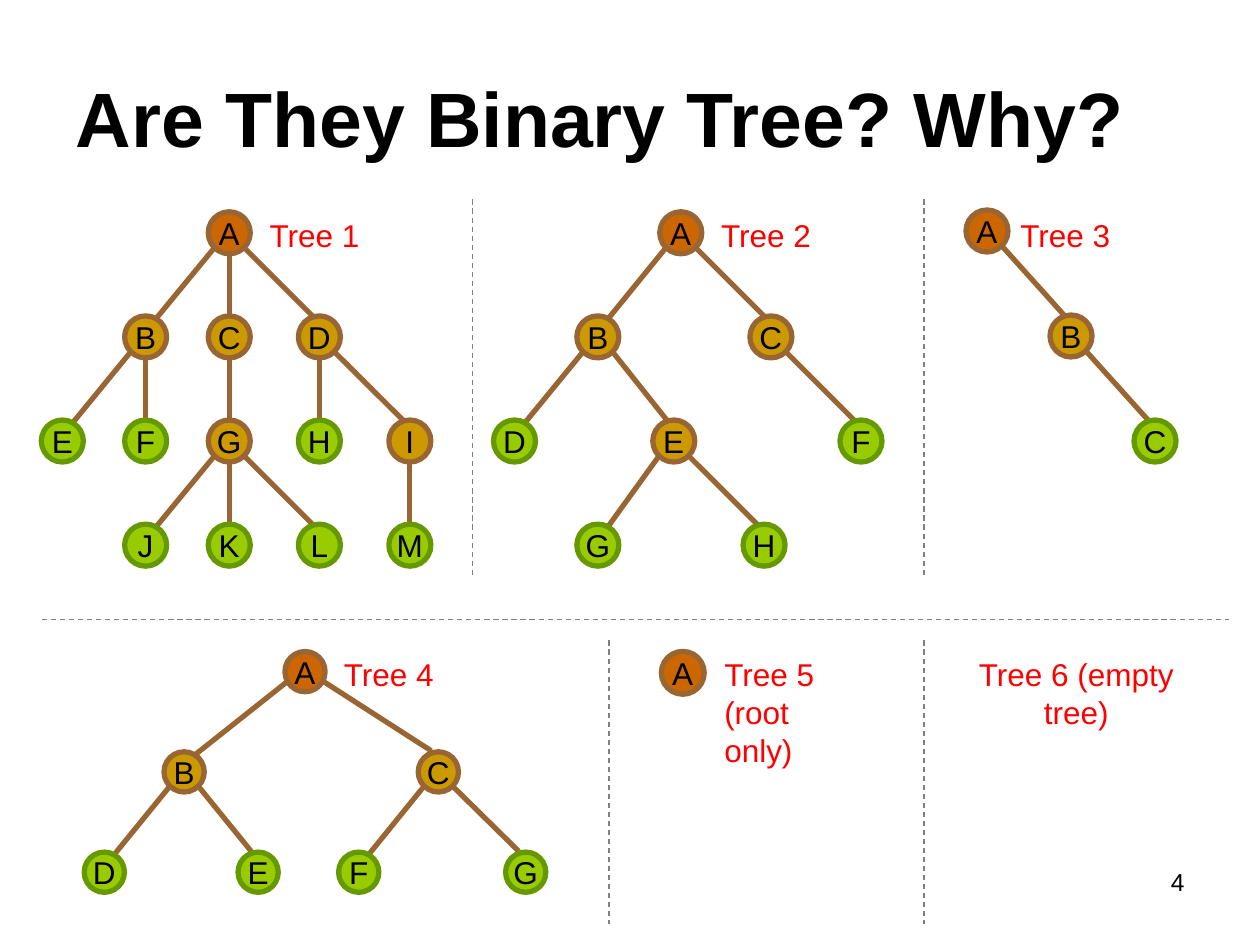
from lxml.etree import SubElement
from pptx import Presentation
from pptx.dml.color import RGBColor
from pptx.enum.dml import MSO_LINE
from pptx.enum.shapes import MSO_CONNECTOR, MSO_SHAPE
from pptx.enum.text import MSO_ANCHOR as ANCHOR, MSO_AUTO_SIZE as AUTO_SIZE, PP_ALIGN as ALIGN
from pptx.oxml.ns import qn
from pptx.util import Pt

THEME = {
    "font": "Arial",
    "text": "000000", "caption": "FF0000", "divider": "808080", "branch": "996633",
    # node role: fill, outline
    "root": ("CC6600", "996633"),
    "inner": ("CC9900", "996633"),
    "leaf": ("99CC00", "669900"),
    "title_size": 44, "body_size": 18, "number_size": 14,
    "branch_width": 3, "divider_width": 0.75,
}


def write(shape, text, size=THEME["body_size"], color=THEME["text"], bold=False,
          align=ALIGN.LEFT, anchor=ANCHOR.TOP, wrap=True):
    frame = shape.text_frame
    frame.auto_size = AUTO_SIZE.NONE
    frame.word_wrap = wrap
    frame.vertical_anchor = anchor
    frame.text = text
    paragraph = frame.paragraphs[0]
    paragraph.alignment = align
    font = paragraph.font
    font.name, font.size, font.bold = THEME["font"], Pt(size), bold
    font.color.rgb = RGBColor.from_string(color)


def draw_line(start, end, color, width, dash=None):
    line = slide.shapes.add_connector(
        MSO_CONNECTOR.STRAIGHT, *(Pt(value) for value in (*start, *end)))
    line.line.color.rgb = RGBColor.from_string(color)
    line.line.width = Pt(width)
    if dash:
        line.line.dash_style = dash
    SubElement(line._element.spPr, qn("a:effectLst"))


presentation = Presentation()
presentation.slide_width, presentation.slide_height = Pt(720), Pt(540)
slide = presentation.slides.add_slide(presentation.slide_layouts[5])

title = slide.shapes.title
title.left, title.top, title.width, title.height = Pt(36), Pt(21.6), Pt(648), Pt(90)
write(title, "Are They Binary Tree? Why?", size=THEME["title_size"], bold=True,
      anchor=ANCHOR.MIDDLE)

# Each tree: root centre height, level spacing, node diameter,
# and nodes as label: (centre x, level, parent)
trees = [
    (133, 59.5, 24, {
        "A": (131, 0, None),
        "B": (83.2, 1, "A"), "C": (131, 1, "A"), "D": (182.5, 1, "A"),
        "E": (35.6, 2, "B"), "F": (83.2, 2, "B"), "G": (131, 2, "C"),
        "H": (182.5, 2, "D"), "I": (234.2, 2, "D"),
        "J": (83.2, 3, "G"), "K": (131, 3, "G"), "L": (182.5, 3, "G"),
        "M": (234.2, 3, "I"),
    }),
    (133, 59.5, 24, {
        "A": (389, 0, None),
        "B": (341.6, 1, "A"), "C": (440.5, 1, "A"),
        "D": (294, 2, "B"), "E": (385, 2, "B"), "F": (492, 2, "C"),
        "G": (341.6, 3, "E"), "H": (436.6, 3, "E"),
    }),
    (132, 60, 24, {
        "A": (564, 0, None), "B": (612, 1, "A"), "C": (660, 2, "B"),
    }),
    (383.8, 57.3, 23, {
        "A": (174.3, 0, None),
        "B": (105.2, 1, "A"), "C": (250.5, 1, "A"),
        "D": (59.6, 2, "B"), "E": (147.5, 2, "B"),
        "F": (205, 2, "C"), "G": (300.4, 2, "C"),
    }),
    (384.5, 0, 24.5, {"A": (390.2, 0, None)}),
]

for root_y, level_gap, diameter, nodes in trees:
    parents = {parent for _, _, parent in nodes.values()}

    for x, level, parent in nodes.values():
        if parent is None:
            continue
        parent_x, parent_level, _ = nodes[parent]
        y, parent_y = root_y + level * level_gap, root_y + parent_level * level_gap
        side = (x > parent_x) - (x < parent_x)
        if side == 0:
            start, end = (parent_x, parent_y + diameter / 2), (x, y - diameter / 2)
        else:
            # Wide branches leave the parent nearer its middle
            drop = 4 if abs(x - parent_x) > level_gap else 8
            start = (parent_x + side * 8, parent_y + drop)
            end = (x - side * 4, y - (12 if side > 0 else 8))
        draw_line(start, end, THEME["branch"], THEME["branch_width"])

    for label, (x, level, parent) in nodes.items():
        role = "root" if parent is None else "inner" if label in parents else "leaf"
        fill, outline = THEME[role]
        y = root_y + level * level_gap
        node = slide.shapes.add_shape(
            MSO_SHAPE.OVAL, Pt(x - diameter / 2), Pt(y - diameter / 2),
            Pt(diameter), Pt(diameter))
        node.shadow.inherit = False
        node.fill.solid()
        node.fill.fore_color.rgb = RGBColor.from_string(fill)
        node.line.color.rgb = RGBColor.from_string(outline)
        node.line.width = Pt(THEME["branch_width"])
        write(node, label, align=ALIGN.CENTER, anchor=ANCHOR.MIDDLE, wrap=False)

caption = {"color": THEME["caption"]}
labels = [
    ("Tree 1", 147, 120, 75, 29, caption),
    ("Tree 2", 405, 120, 75, 29, caption),
    ("Tree 3", 576, 120, 76, 29, caption),
    ("Tree 4", 189.4, 371, 73, 29, caption),
    ("Tree 5\v(root only)", 406.8, 371, 91.4, 50.4, caption),
    ("Tree 6 (empty tree)", 552, 371, 126, 50.4, {**caption, "align": ALIGN.CENTER}),
    ("4", 516, 492, 168, 37.5, {"size": THEME["number_size"], "align": ALIGN.RIGHT}),
]
for text, left, top, width, height, text_format in labels:
    box = slide.shapes.add_textbox(Pt(left), Pt(top), Pt(width), Pt(height))
    write(box, text, **text_format)

dividers = [
    ((24, 354), (702, 354)),
    ((270, 114), (270, 330)),
    ((528, 114), (528, 330)),
    ((528, 366), (528, 528)),
    ((348, 366), (348, 528)),
]
for start, end in dividers:
    draw_line(start, end, THEME["divider"], THEME["divider_width"], dash=MSO_LINE.DASH)

presentation.save("out.pptx")
